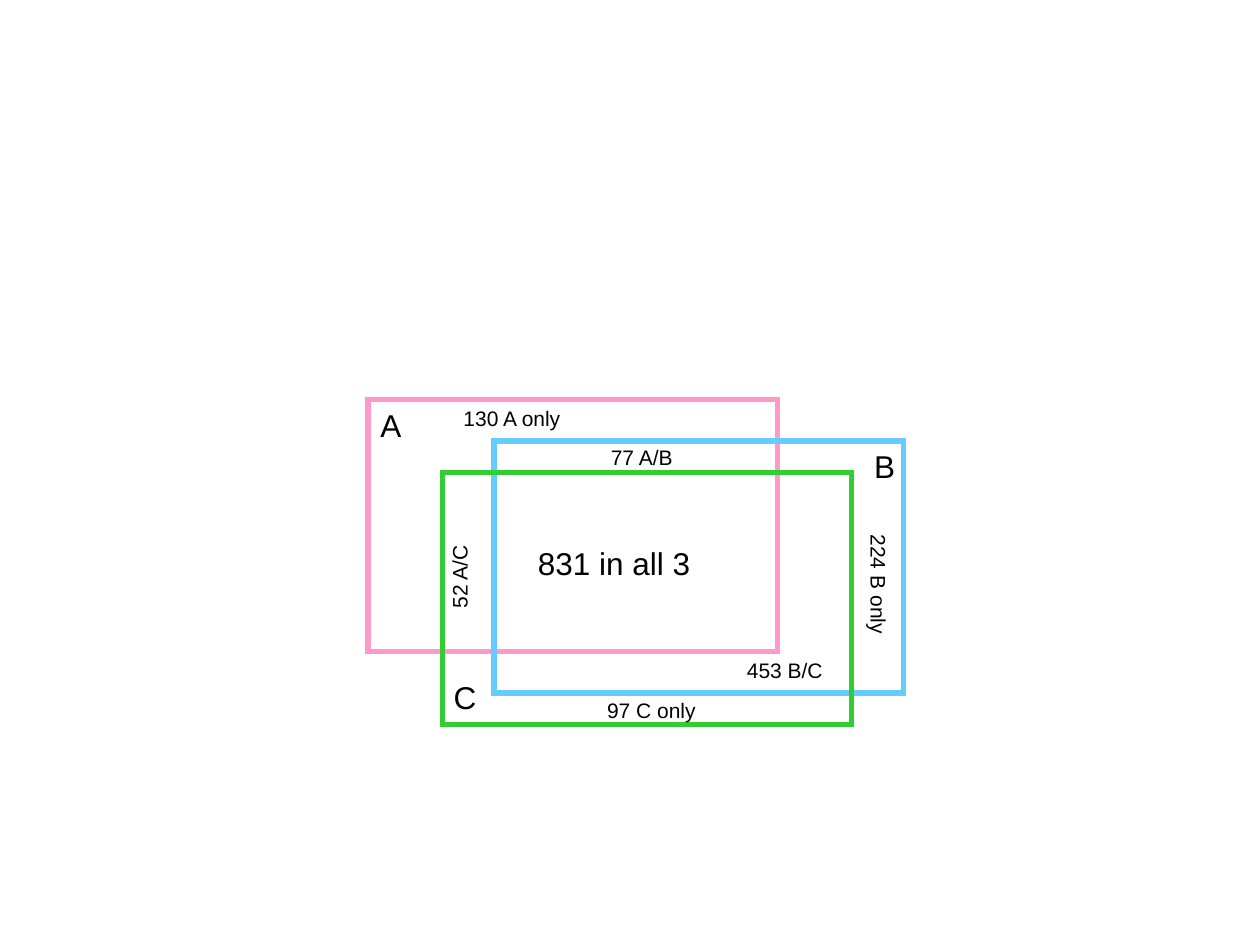
from dataclasses import dataclass
from typing import Any

import lxml.etree
import pptx
import pptx.dml.color
import pptx.enum.shapes
import pptx.enum.text
import pptx.oxml.ns
import pptx.util

Inches = pptx.util.Inches
Align = pptx.enum.text.PP_ALIGN
COLORS = {"A": "FF99CC", "B": "66CCFF", "C": "33CC33", "text": "000000"}
FONT = "Arial"
WIDTH, HEIGHT = 3.25, 2


@dataclass(frozen=True)
class Label:
    text: str
    left: float
    top: float
    width: float
    height: float = 0.3
    size: int = 12
    turn: int = 0
    align: Any = Align.LEFT


@dataclass(frozen=True)
class Region:
    left: float
    top: float
    name: Label


def letter(text: str, left: float, top: float, width: float) -> Label:
    return Label(text, left, top, width, 0.4, 18, align=Align.CENTER)


REGIONS = [
    Region(2.92, 3.17, letter("A", 2.92, 3.17, 0.36)),
    Region(3.92, 3.5, letter("B", 6.84, 3.5, 0.36)),
    Region(3.51, 3.75, letter("C", 3.5, 5.33, 0.38)),
]
COUNTS = [
    Label("831 in all 3", 4.17, 4.27, 1.41, 0.4, 18),
    Label("453 B/C", 5.83, 5.17, 0.8),
    Label("77 A/B", 4.75, 3.48, 0.7),
    Label("52 A/C", 3.29, 4.42, 0.71, turn=270),
    Label("130 A only", 3.58, 3.17, 0.99),
    Label("224 B only", 6.48, 4.49, 0.99, turn=90),
    Label("97 C only", 4.72, 5.49, 0.93),
]


def color(name: str) -> pptx.dml.color.RGBColor:
    return pptx.dml.color.RGBColor.from_string(COLORS[name])


def add_label(shapes: Any, label: Label) -> None:
    box = shapes.add_textbox(Inches(label.left), Inches(label.top),
                             Inches(label.width), Inches(label.height))
    box.rotation = label.turn
    frame = box.text_frame
    frame.word_wrap = False
    frame.auto_size = pptx.enum.text.MSO_AUTO_SIZE.SHAPE_TO_FIT_TEXT
    para = frame.paragraphs[0]
    para.alignment = label.align
    run = para.add_run()
    run.text = label.text
    run.font.name = FONT
    run.font.size = pptx.util.Pt(label.size)
    run.font.color.rgb = color("text")


def add_region(shapes: Any, region: Region) -> None:
    """Group an open, sharp-cornered rectangle with its letter."""
    group = shapes.add_group_shape()
    rect = group.shapes.add_shape(
        pptx.enum.shapes.MSO_SHAPE.RECTANGLE, Inches(region.left),
        Inches(region.top), Inches(WIDTH), Inches(HEIGHT))
    rect.shadow.inherit = False
    rect.fill.background()
    rect.line.color.rgb = color(region.name.text)
    rect.line.width = pptx.util.Pt(3)
    qn = pptx.oxml.ns.qn
    edge = rect.element.spPr.find(qn("a:ln"))
    lxml.etree.SubElement(edge, qn("a:miter"), lim="800000")
    add_label(group.shapes, region.name)


def main() -> None:
    deck = pptx.Presentation()
    deck.slide_width, deck.slide_height = Inches(10), Inches(7.5)
    slide = deck.slides.add_slide(deck.slide_layouts.get_by_name("Blank"))
    for region in REGIONS:
        add_region(slide.shapes, region)
    for count in COUNTS:
        add_label(slide.shapes, count)
    deck.save("out.pptx")


if __name__ == "__main__":
    main()
